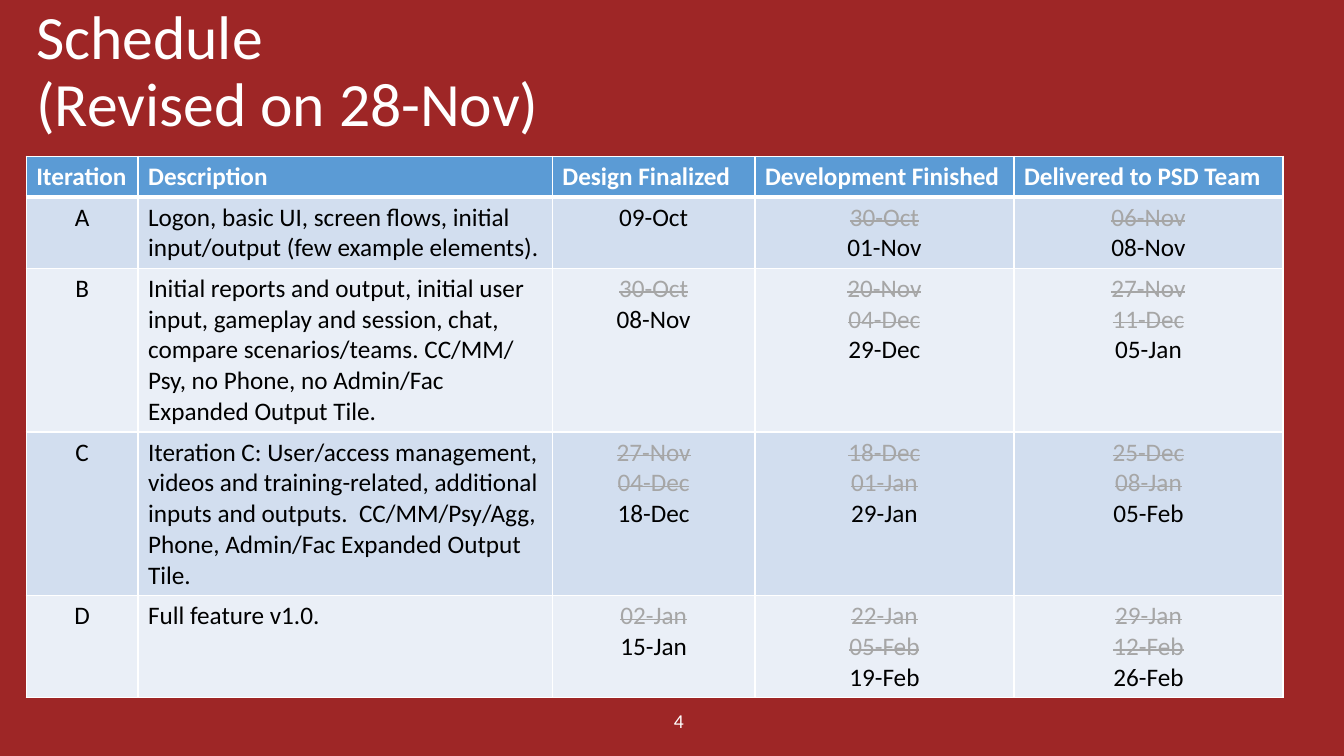
from lxml import etree
from pptx import Presentation
from pptx.dml.color import RGBColor
from pptx.enum import shapes, text
from pptx.oxml.ns import qn
from pptx.util import Pt

WHITE, BLACK, GREY = "FFFFFF", "000000", "A6A6A6"
HEADER_FILL, BAND_FILLS = "5B9BD5", ["D2DEEF", "EAEFF7"]
CENTER, LEFT = text.PP_ALIGN.CENTER, text.PP_ALIGN.LEFT


def color(value):
    """Turn a hex string into a colour."""
    return RGBColor.from_string(value)


def add_span(para, words, size, ink, bold=False, struck=False):
    """Add one formatted run to a paragraph."""
    span = para.add_run()
    span.text = words
    span.font.name = "Calibri"
    span.font.size = Pt(size)
    span.font.bold = bold
    span.font.color.rgb = color(ink)
    if struck:
        span.font._element.set("strike", "sngStrike")


deck = Presentation()
deck.slide_width, deck.slide_height = Pt(960), Pt(540)
page = deck.slides.add_slide(deck.slide_layouts[6])

# Translucent red backdrop
backdrop = page.shapes.add_shape(
    shapes.MSO_SHAPE.RECTANGLE, Pt(-12.24), Pt(0), Pt(972.72), Pt(547.2))
backdrop.shadow.inherit = False
backdrop.line.fill.background()
backdrop.fill.solid()
backdrop.fill.fore_color.rgb = color("8E0000")
tint = backdrop._element.spPr.find(qn("a:solidFill"))[0]
etree.SubElement(tint, qn("a:alpha")).set("val", "85000")

# Title and page number
labels = [
    (["Schedule", "(Revised on 28-Nov)"], (18.72, 0, 911.52, 104.4), 44, LEFT, 0.9),
    (["4"], (442.08, 500.4, 85.68, 28.8), 14, CENTER, 1),
]
for lines, area, size, align, spacing in labels:
    box = page.shapes.add_textbox(*[Pt(length) for length in area])
    frame = box.text_frame
    frame.word_wrap = True
    frame.vertical_anchor = text.MSO_ANCHOR.MIDDLE
    para = frame.paragraphs[0]
    para.alignment = align
    para.line_spacing = spacing
    for index, line in enumerate(lines):
        if index:
            para.add_line_break()
        add_span(para, line, size, WHITE)

# Schedule table: the last date in a cell is current, earlier ones are struck out
headings = ["Iteration", "Description", "Design Finalized ",
            "Development Finished", "Delivered to PSD Team"]
iterations = [
    ("A", "Logon, basic UI, screen flows, initial input/output (few example elements).",
     "09-Oct", "30-Oct 01-Nov", "06-Nov 08-Nov"),
    ("B", "Initial reports and output, initial user input, gameplay and session, chat, "
     "compare scenarios/teams. CC/MM/ Psy, no Phone, no Admin/Fac Expanded Output Tile.",
     "30-Oct 08-Nov", "20-Nov 04-Dec 29-Dec", "27-Nov 11-Dec 05-Jan"),
    ("C", "Iteration C: User/access management, videos and training-related, additional "
     "inputs and outputs.\u00a0 CC/MM/Psy/Agg, Phone, Admin/Fac Expanded Output Tile.",
     "27-Nov 04-Dec 18-Dec", "18-Dec 01-Jan 29-Jan", "25-Dec 08-Jan 05-Feb"),
    ("D", "Full feature v1.0. ",
     "02-Jan 15-Jan", "22-Jan 05-Feb 19-Feb", "29-Jan 12-Feb 26-Feb"),
]
column_widths = [79.92, 295.92, 144.72, 185.04, 192.24]
row_heights = [29.2, 50.8, 117, 117, 72.8]

schedule = page.shapes.add_table(
    len(row_heights), len(column_widths), Pt(18.72), Pt(111.6),
    Pt(sum(column_widths)), Pt(sum(row_heights))).table
for column, width in zip(schedule.columns, column_widths):
    column.width = Pt(width)
for row, height in zip(schedule.rows, row_heights):
    row.height = Pt(height)

for row_index, entries in enumerate([headings] + iterations):
    is_header = row_index == 0
    for column_index, entry in enumerate(entries):
        cell = schedule.cell(row_index, column_index)
        is_dates = column_index > 1 and not is_header
        lines = entry.split() if is_dates else [entry]
        for line_index, line in enumerate(lines):
            frame = cell.text_frame
            para = frame.add_paragraph() if line_index else frame.paragraphs[0]
            centred = not is_header and column_index != 1
            para.alignment = CENTER if centred else LEFT
            struck = line_index < len(lines) - 1
            ink = WHITE if is_header else GREY if struck else BLACK
            add_span(para, line, 18, ink, is_header, struck)

        # Borders come before the fill in the cell properties
        props = cell._tc.get_or_add_tcPr()
        for side in ["L", "R", "T", "B"]:
            heavy = (row_index, side) in [(0, "B"), (1, "T")]
            edge = etree.SubElement(props, qn("a:ln" + side))
            edge.set("w", str(Pt(3 if heavy else 1)))
            paint = etree.SubElement(edge, qn("a:solidFill"))
            etree.SubElement(paint, qn("a:srgbClr")).set("val", WHITE)
        cell.fill.solid()
        cell.fill.fore_color.rgb = color(
            HEADER_FILL if is_header else BAND_FILLS[(row_index - 1) % 2])

deck.save("out.pptx")
